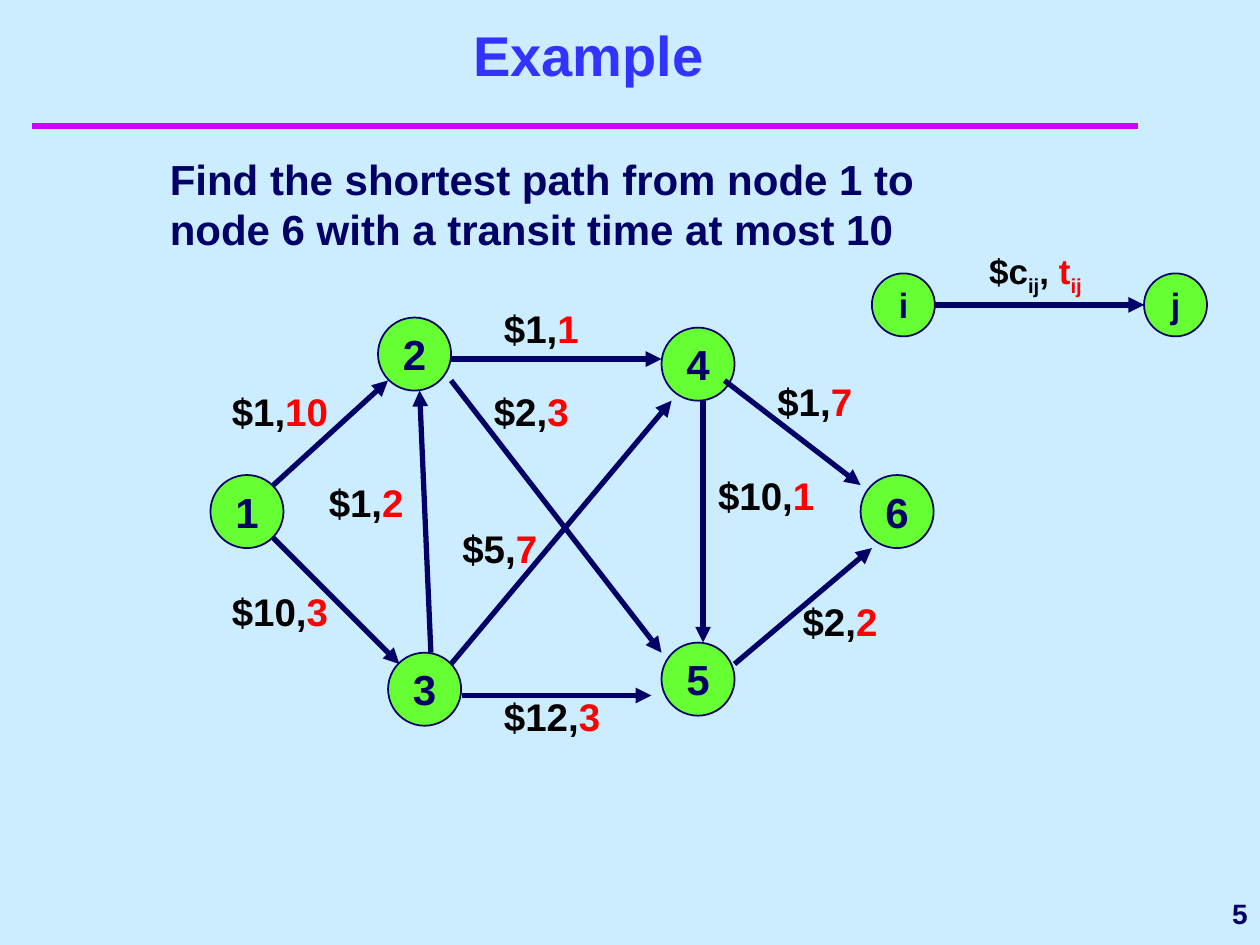
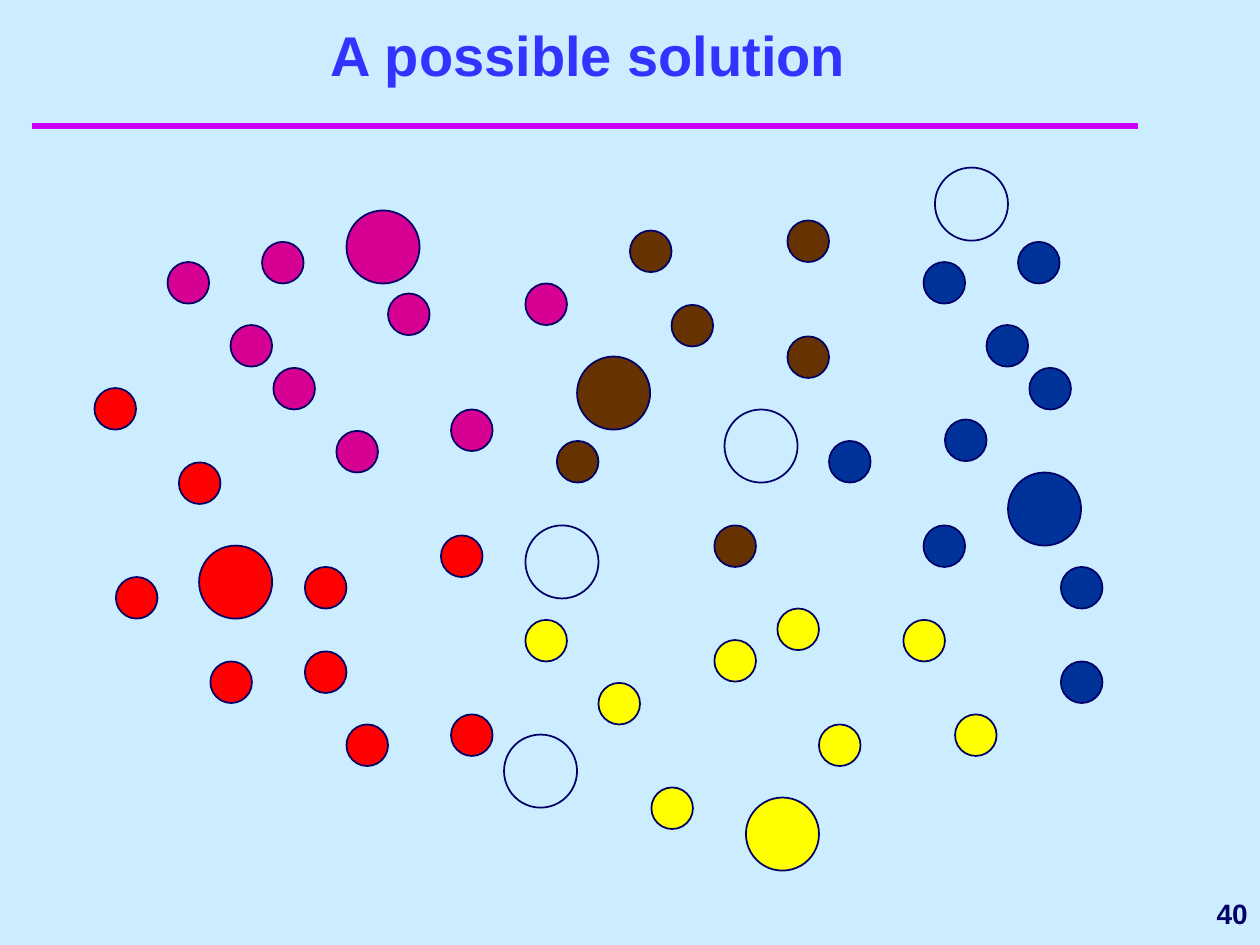
from lxml.etree import SubElement
from pptx import Presentation
from pptx.dml.color import RGBColor
from pptx.enum.shapes import MSO_CONNECTOR, MSO_SHAPE
from pptx.enum.text import MSO_ANCHOR, MSO_AUTO_SIZE, PP_ALIGN
from pptx.oxml.ns import qn
from pptx.util import Inches, Pt

SKY = RGBColor(0xCC, 0xEC, 0xFF)
NAVY = RGBColor(0x00, 0x00, 0x66)
TITLE_BLUE = RGBColor(0x33, 0x33, 0xFF)
VIOLET = RGBColor(0xCC, 0x00, 0xFF)
BLACK = RGBColor(0x00, 0x00, 0x00)
RED = RGBColor(0xFF, 0x00, 0x00)
GREEN = RGBColor(0x66, 0xFF, 0x33)
MAGENTA = RGBColor(0xD6, 0x00, 0x93)
BROWN = RGBColor(0x66, 0x33, 0x00)
BLUE = RGBColor(0x00, 0x33, 0x99)
YELLOW = RGBColor(0xFF, 0xFF, 0x00)

FONT = "Arial"
LARGE = 0.58
SMALL = 0.33
LEGEND = 0.5

NODES = {
    "1": (1.67, 3.77), "2": (3, 2.52), "4": (5.25, 2.6),
    "5": (5.25, 5.1), "3": (3.08, 5.18), "6": (6.83, 3.77),
}
ARCS = [
    ((2.17, 3.85), (3.08, 3.02)),
    ((3.58, 2.85), (5.25, 2.85)),
    ((3.58, 3.02), (5.25, 5.18)),
    ((2.17, 4.27), (3.17, 5.27)),
    ((3.42, 5.18), (3.33, 3.1)),
    ((3.58, 5.27), (5.33, 3.18)),
    ((3.67, 5.52), (5.17, 5.52)),
    ((5.83, 5.27), (6.92, 4.35)),
    ((5.75, 3.02), (6.83, 3.85)),
    ((5.58, 3.18), (5.58, 5.1)),
]
ARC_LABELS = [
    (1.84, 3.08, "$1,", "10"), (4, 2.42, "$1,", "1"),
    (6.17, 3, "$1,", "7"), (3.92, 3.08, "$2,", "3"),
    (1.84, 4.67, "$10,", "3"), (4, 5.5, "$12,", "3"),
    (6.37, 4.75, "$2,", "2"), (2.61, 3.8, "$1,", "2"),
    (5.7, 3.75, "$10,", "1"), (3.67, 4.17, "$5,", "7"),
]

CLUSTERS = [
    (MAGENTA, (2.75, 1.67), [
        (1.33, 2.08), (2.08, 1.92), (1.83, 2.58), (3.08, 2.33),
        (2.17, 2.92), (2.67, 3.42), (3.58, 3.25), (4.17, 2.25)]),
    (RED, (1.58, 4.33), [
        (0.75, 3.08), (1.67, 5.25), (1.42, 3.67), (3.5, 4.25), (2.42, 4.5),
        (3.58, 5.67), (2.75, 5.75), (0.92, 4.58), (2.42, 5.17)]),
    (BROWN, (4.58, 2.83), [
        (5.33, 2.42), (5.67, 4.17), (6.25, 2.67),
        (4.42, 3.5), (5, 1.83), (6.25, 1.75)]),
    (YELLOW, (5.92, 6.33), [
        (7.17, 4.92), (4.17, 4.92), (5.67, 5.08), (6.5, 5.75),
        (7.58, 5.67), (6.17, 4.83), (4.75, 5.42), (5.17, 6.25)]),
    (BLUE, (8, 3.75), [
        (7.5, 3.33), (7.33, 2.08), (6.58, 3.5), (8.08, 1.92), (7.83, 2.58),
        (8.17, 2.92), (7.33, 4.17), (8.42, 4.5), (8.42, 5.25)]),
]
UNUSED_SITES = [(5.75, 3.25), (4, 5.83), (4.17, 4.17), (7.42, 1.33)]


class Deck:
    def __init__(self):
        self.deck = Presentation()
        self.deck.slide_width = Inches(10)
        self.deck.slide_height = Inches(7.5)
        fill = self.deck.slide_master.background.fill
        fill.solid()
        fill.fore_color.rgb = SKY
        self.page = None

    def new_page(self, title, number):
        self.page = self.deck.slides.add_slide(self.deck.slide_layouts[5])
        self.line((0.25, 1), (9.03, 1), VIOLET, 4)
        self.text(8.08, 7, 1.92, 0.5, [(number, NAVY)], 16, inset=True,
                  align=PP_ALIGN.RIGHT, anchor=MSO_ANCHOR.MIDDLE)
        box = self.page.shapes.title
        box.left, box.top = Inches(0.42), Inches(0.33)
        box.width, box.height = Inches(8.5), Inches(0.42)
        frame = box.text_frame
        frame.auto_size = MSO_AUTO_SIZE.NONE
        frame.vertical_anchor = MSO_ANCHOR.BOTTOM
        para = frame.paragraphs[0]
        para.alignment = PP_ALIGN.CENTER
        self.span(para, title, TITLE_BLUE, 32)

    def span(self, para, text, color, size, baseline=0):
        span = para.add_run()
        span.text = text
        span.font.name = FONT
        span.font.size = Pt(size)
        span.font.bold = True
        span.font.color.rgb = color
        if baseline:
            span.font._element.set("baseline", str(baseline * 1000))

    def text(self, left, top, width, height, spans, size, inset=False,
             wrap=True, align=PP_ALIGN.LEFT, anchor=MSO_ANCHOR.TOP):
        box = self.page.shapes.add_textbox(
            Inches(left), Inches(top), Inches(width), Inches(height))
        frame = box.text_frame
        frame.word_wrap = wrap
        if not wrap:
            frame.auto_size = MSO_AUTO_SIZE.SHAPE_TO_FIT_TEXT
        frame.vertical_anchor = anchor
        if not inset:
            self.clear_margins(frame)
        para = frame.paragraphs[0]
        para.alignment = align
        for text, color, *baseline in spans:
            self.span(para, text, color, size, *baseline)

    def clear_margins(self, frame):
        frame.margin_left = frame.margin_right = 0
        frame.margin_top = frame.margin_bottom = 0

    def circle(self, place, diameter, color=None, label=None, size=24):
        left, top = place
        circle = self.page.shapes.add_shape(
            MSO_SHAPE.OVAL, Inches(left), Inches(top),
            Inches(diameter), Inches(diameter))
        circle.shadow.inherit = False
        circle.line.color.rgb = NAVY
        circle.line.width = Pt(1)
        if color is None:
            circle.fill.background()
        else:
            circle.fill.solid()
            circle.fill.fore_color.rgb = color
        if label:
            frame = circle.text_frame
            frame.word_wrap = False
            frame.vertical_anchor = MSO_ANCHOR.MIDDLE
            self.clear_margins(frame)
            para = frame.paragraphs[0]
            para.alignment = PP_ALIGN.CENTER
            self.span(para, label, NAVY, size)

    def line(self, start, end, color, width, arrow=False):
        line = self.page.shapes.add_connector(
            MSO_CONNECTOR.STRAIGHT, *map(Inches, start + end))
        line.line.color.rgb = color
        line.line.width = Pt(width)
        if arrow:
            SubElement(line.line._get_or_add_ln(), qn("a:tailEnd"), type="triangle")
        SubElement(line._element.spPr, qn("a:effectLst"))

    def arrow(self, start, end):
        self.line(start, end, NAVY, 3, arrow=True)


def add_network_page(deck):
    deck.new_page("Example", "5")
    for left, top, cost, time in ARC_LABELS:
        width = 0.6 if len(cost + time) == 4 else 0.77
        deck.text(left, top, width, 0.37, [(cost, BLACK), (time, RED)], 22, wrap=False)
    for label, place in NODES.items():
        deck.circle(place, LARGE, GREEN, label)
    for start, end in ARCS:
        deck.arrow(start, end)
    deck.text(1.25, 1.17, 6.67, 0.9, [(
        "Find the shortest path from node 1 to node 6 with a transit time at most 10",
        NAVY)], 24, inset=True)
    deck.text(7.85, 1.98, 0.74, 0.38, [
        ("$c", BLACK), ("ij", BLACK, -25), (", ", BLACK),
        ("t", RED), ("ij", RED, -25)], 20, wrap=False)
    deck.circle((6.92, 2.17), LEGEND, GREEN, "i", 20)
    deck.circle((9.08, 2.17), LEGEND, GREEN, "j", 20)
    deck.arrow((7.42, 2.42), (9.08, 2.42))


def add_cluster_page(deck):
    deck.new_page("A possible solution", "40")
    for color, center, members in CLUSTERS:
        for member in members:
            deck.circle(member, SMALL, color)
        deck.circle(center, LARGE, color)
    for site in UNUSED_SITES:
        deck.circle(site, LARGE)


def main():
    deck = Deck()
    add_network_page(deck)
    add_cluster_page(deck)
    deck.deck.save("out.pptx")


if __name__ == "__main__":
    main()
